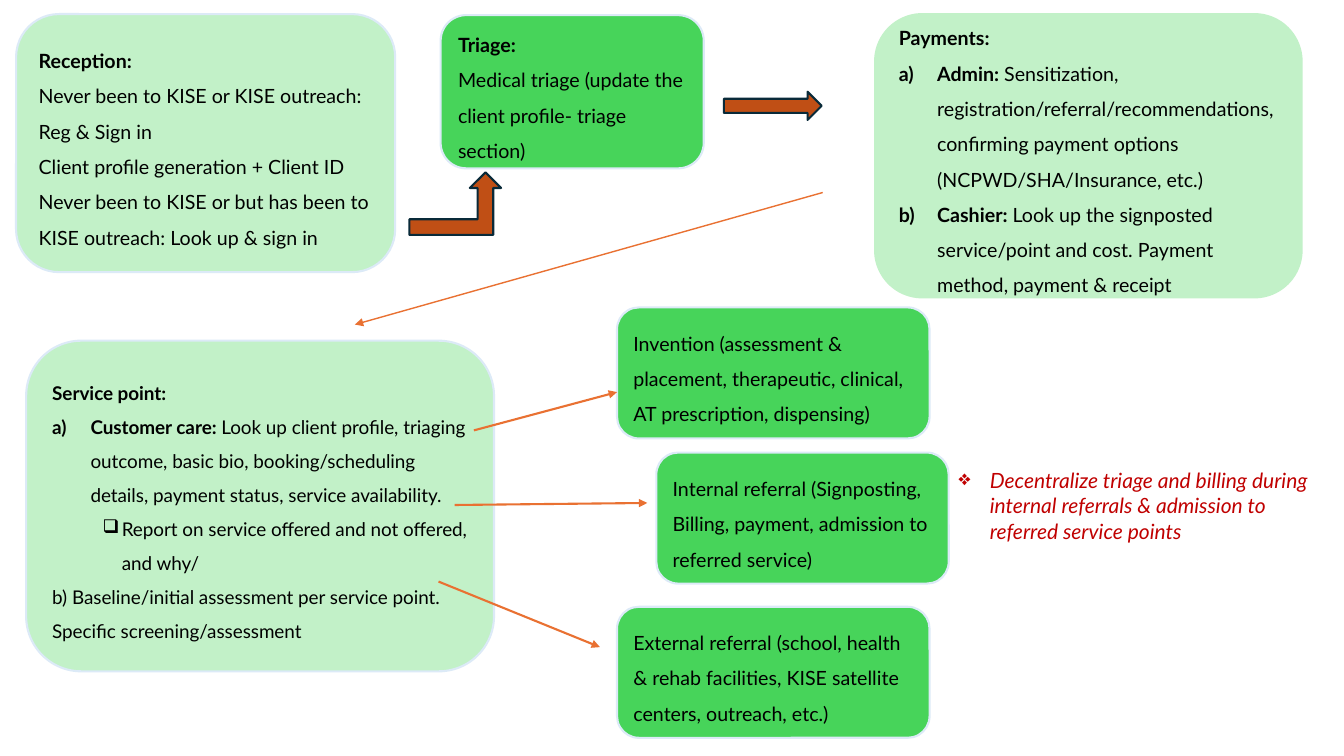
from dataclasses import dataclass

from lxml.etree import SubElement
from pptx import Presentation
from pptx.dml.color import RGBColor
from pptx.enum.shapes import MSO_CONNECTOR, MSO_SHAPE
from pptx.enum.text import MSO_ANCHOR, PP_ALIGN
from pptx.oxml.ns import qn
from pptx.util import Inches, Pt


@dataclass(frozen=True)
class Theme:
    font: str = "Lato"
    body: float = 14
    service: float = 13.5
    note: float = 15
    outline: float = 1.5
    thin: float = 1
    spacing: float = 1.5
    pale: str = "C2F1C8"
    green: str = "47D45A"
    border: str = "DCEAF7"
    text: str = "000000"
    red: str = "C00000"
    block_arrow: str = "C04F15"
    block_edge: str = "092A39"
    arrow: str = "E97132"


THEME = Theme()
LETTER, SQUARE, DIAMOND = "a)", "❑", "❖"
INDENTS = {LETTER: (0.38, 0), SQUARE: (0.69, 1), DIAMOND: (0.31, 0)}
HANGING = {LETTER: 0.38, SQUARE: 0.19, DIAMOND: 0.31}

# Each paragraph: (bullet, bold lead, plain text)
RECEPTION = [
    (None, "Reception:", ""),
    (None, "", "Never been to KISE or KISE outreach:"),
    (None, "", "Reg & Sign in"),
    (None, "", "Client profile generation + Client ID"),
    (None, "", "Never been to KISE or but has been to KISE outreach: Look up & sign in"),
]
TRIAGE = [
    (None, "Triage:", ""),
    (None, "", "Medical triage (update the client profile- triage section)"),
]
PAYMENTS = [
    (None, "Payments:", ""),
    (LETTER, "Admin: ", "Sensitization, registration/referral/recommendations, "
     "confirming payment options (NCPWD/SHA/Insurance, etc.)"),
    (LETTER, "Cashier: ", "Look up the signposted service/point and cost. "
     "Payment method, payment & receipt"),
]
SERVICE = [
    (None, "Service point:", ""),
    (LETTER, "Customer care: ", "Look up client profile, triaging outcome, basic bio, "
     "booking/scheduling details, payment status, service availability."),
    (SQUARE, "", "Report on service offered and not offered, and why/"),
    (None, "", "b) Baseline/initial assessment per service point. "
     "Specific screening/assessment"),
]
OUTCOMES = [
    ((6.12, 3.05, 3.1, 1.3), "Invention (assessment & placement, therapeutic, clinical, "
     "AT prescription, dispensing)"),
    ((6.51, 4.49, 2.9, 1.3), "Internal referral (Signposting, Billing, payment, "
     "admission to referred service)"),
    ((6.12, 6.02, 3.1, 1.3), "External referral (school, health & rehab facilities, "
     "KISE satellite centers, outreach, etc.)"),
]
DECENTRALIZE = [(DIAMOND, "", "Decentralize triage and billing during internal "
                 "referrals & admission to referred service points")]
OUTCOME_ARROWS = [
    ((4.7, 4.27), (6.12, 3.89)),
    ((4.51, 5.01), (6.42, 4.99)),
    ((4.35, 5.77), (5.95, 6.42)),
]


def set_bullet(paragraph, bullet):
    props = paragraph._p.get_or_add_pPr()
    indent, paragraph.level = INDENTS[bullet]
    props.set("marL", str(Inches(indent)))
    props.set("indent", str(-Inches(HANGING[bullet])))
    if bullet == LETTER:
        SubElement(props, qn("a:buAutoNum"), type="alphaLcParenR")
    else:
        SubElement(props, qn("a:buChar"), char=bullet)


def write(frame, paragraphs, size, color=THEME.text, spacing=THEME.spacing, italic=False):
    frame.word_wrap = True
    for index, (bullet, lead, body) in enumerate(paragraphs):
        paragraph = frame.add_paragraph() if index else frame.paragraphs[0]
        paragraph.alignment = PP_ALIGN.LEFT
        paragraph.line_spacing = spacing
        if bullet:
            set_bullet(paragraph, bullet)
        for words, bold in ((lead, True), (body, False)):
            if not words:
                continue
            run = paragraph.add_run()
            run.text = words
            style = {"name": THEME.font, "size": Pt(size), "bold": bold, "italic": italic}
            for attribute, value in style.items():
                setattr(run.font, attribute, value)
            run.font.color.rgb = RGBColor.from_string(color)


def add_filled(slide, kind, box, fill, edge):
    shape = slide.shapes.add_shape(kind, *map(Inches, box))
    shape.shadow.inherit = False
    shape.fill.solid()
    shape.fill.fore_color.rgb = RGBColor.from_string(fill)
    shape.line.color.rgb = RGBColor.from_string(edge)
    shape.line.width = Pt(THEME.outline)
    return shape


def add_step(slide, box, paragraphs, fill, edge=THEME.border, size=THEME.body):
    step = add_filled(slide, MSO_SHAPE.ROUNDED_RECTANGLE, box, fill, edge)
    step.text_frame.vertical_anchor = MSO_ANCHOR.MIDDLE
    write(step.text_frame, paragraphs, size)


def add_arrow(slide, start, end, width=THEME.outline):
    arrow = slide.shapes.add_connector(
        MSO_CONNECTOR.STRAIGHT, *map(Inches, (*start, *end)))
    arrow.line.color.rgb = RGBColor.from_string(THEME.arrow)
    arrow.line.width = Pt(width)
    SubElement(arrow.line._get_or_add_ln(), qn("a:tailEnd"), type="triangle")
    SubElement(arrow._element.spPr, qn("a:effectLst"))


def add_intake(slide):
    """Reception, triage and payments, with the block arrows between them."""
    add_step(slide, (0.16, 0.14, 3.76, 2.56), RECEPTION, THEME.pale)
    add_step(slide, (4.37, 0.15, 2.61, 1.52), TRIAGE, THEME.green)
    add_step(slide, (8.68, 0.14, 4.23, 2.81), PAYMENTS, THEME.pale, THEME.pale)
    for kind, box in ((MSO_SHAPE.BENT_UP_ARROW, (4.06, 1.71, 0.91, 0.62)),
                      (MSO_SHAPE.RIGHT_ARROW, (7.18, 0.91, 0.97, 0.28))):
        add_filled(slide, kind, box, THEME.block_arrow, THEME.block_edge)


def add_service(slide):
    """Service point, its three outcomes and the arrows that lead to them."""
    add_step(slide, (0.26, 3.38, 4.64, 3.28), SERVICE, THEME.pale, size=THEME.service)
    for box, words in OUTCOMES:
        add_step(slide, box, [(None, "", words)], THEME.green)
    add_arrow(slide, (8.16, 1.91), (3.52, 3.22), THEME.thin)
    for start, end in OUTCOME_ARROWS:
        add_arrow(slide, start, end)


def add_note(slide, box):
    note = slide.shapes.add_textbox(*map(Inches, box))
    write(note.text_frame, DECENTRALIZE, THEME.note, THEME.red, spacing=1.0, italic=True)


def main():
    deck = Presentation()
    deck.slide_width, deck.slide_height = Inches(13.33), Inches(7.5)
    slide = deck.slides.add_slide(deck.slide_layouts.get_by_name("Blank"))
    add_intake(slide)
    add_service(slide)
    add_note(slide, (9.41, 4.59, 3.83, 1.11))
    deck.save("out.pptx")


if __name__ == "__main__":
    main()
